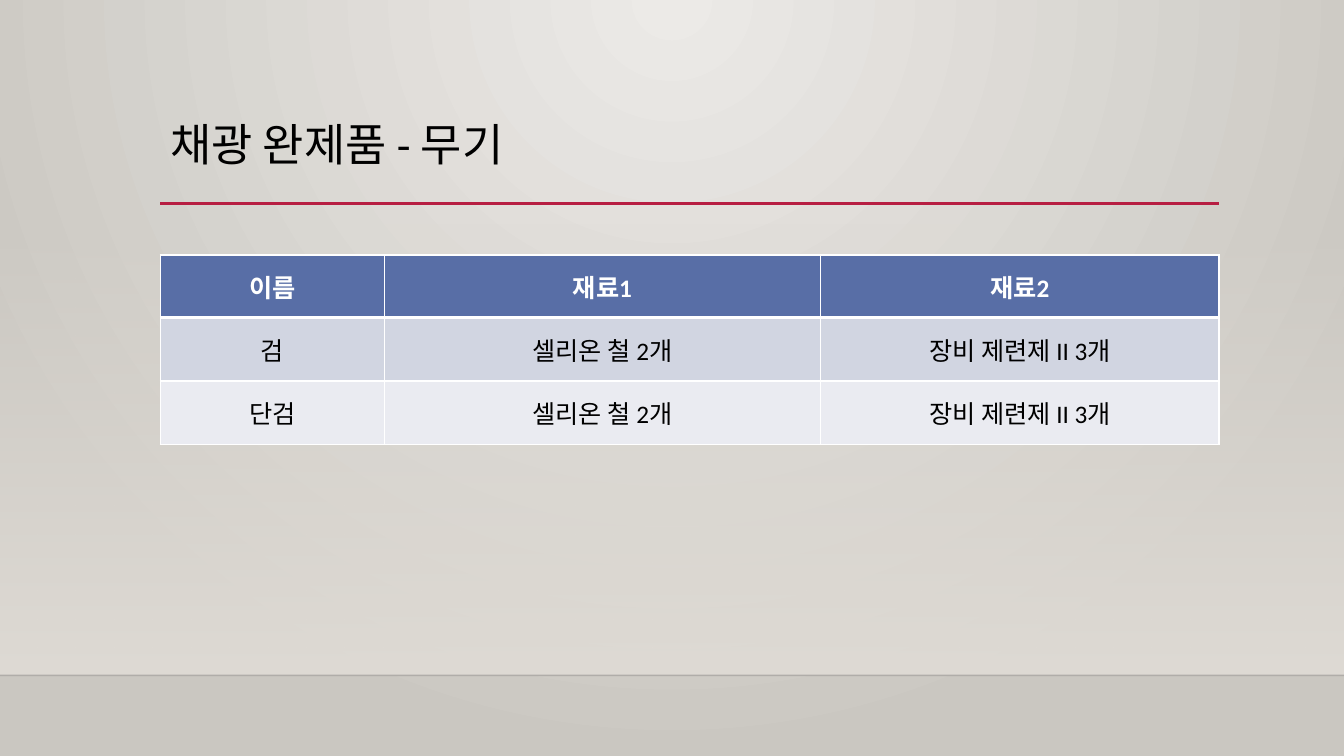
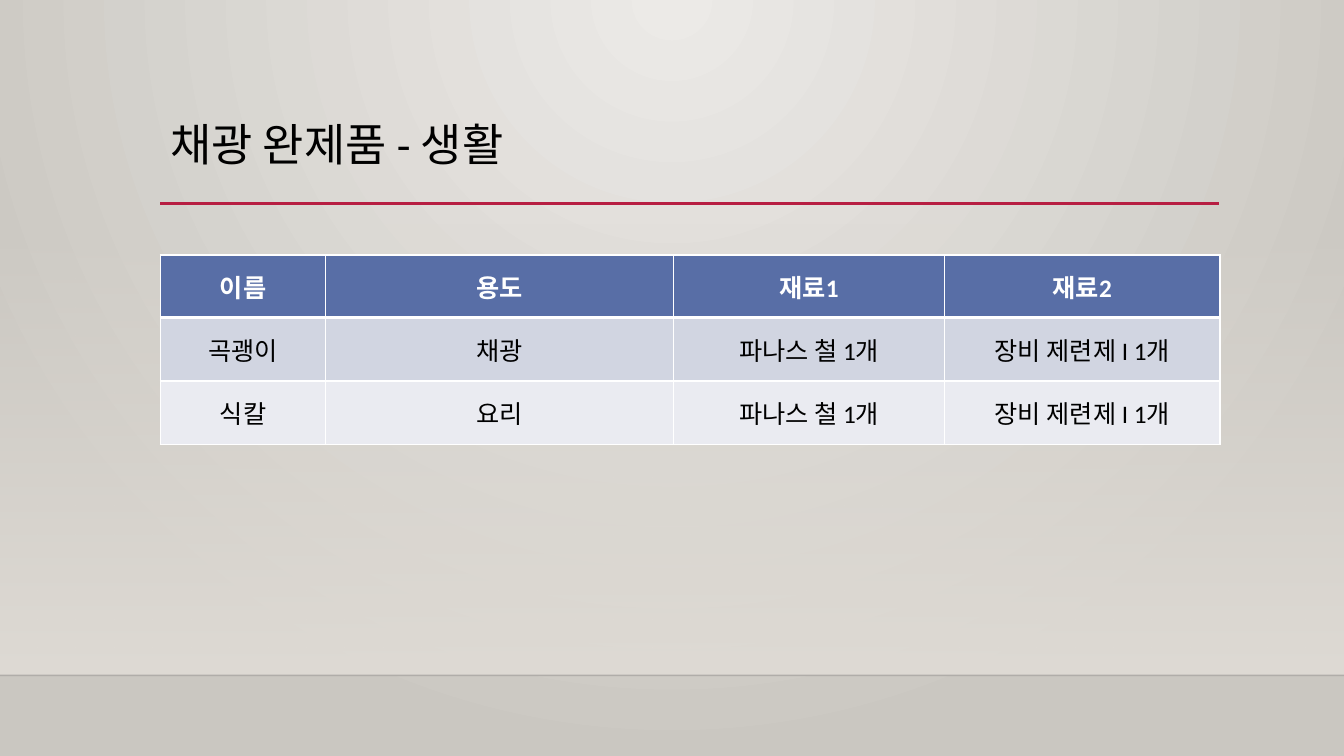
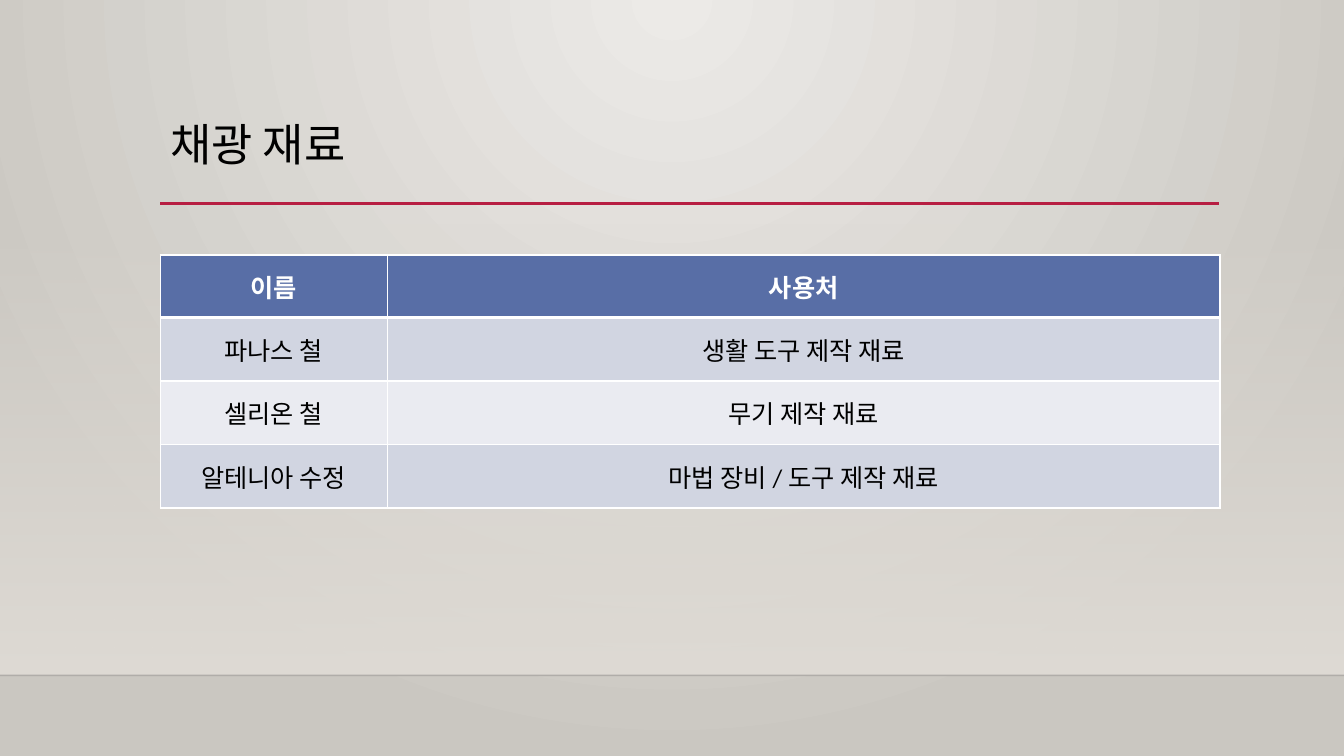
from lxml.etree import SubElement
from pptx import Presentation
from pptx.dml.color import RGBColor
from pptx.enum.shapes import MSO_CONNECTOR, MSO_SHAPE
from pptx.enum.text import MSO_ANCHOR, PP_ALIGN
from pptx.oxml import parse_xml
from pptx.oxml.ns import nsdecls, qn
from pptx.util import Inches, Pt

COLORS = {
    "glow": "ECEAE7", "edge": "CAC7C1", "wall": "DFDBD5", "floor": "000001",
    "accent": "B71E42", "text": "000000", "white": "FFFFFF",
    "header": "586EA6", "band_dark": "D1D5E1", "band_light": "EAEBF1",
}
FONT = "Calibri"
PAGE_WIDTH, PAGE_HEIGHT = 13.33, 7.5
LEFT, WIDTH = 1.59, 10.5
TITLE_BOX = (LEFT, 0.88, WIDTH, 1.15)
WALL_BOX = (0, 2.21, PAGE_WIDTH, 4.49)
TABLE_TOP = 2.53
HEADER_HEIGHT, ROW_HEIGHT = 0.62, 0.63

PAGES = [
    ("채광 완제품 - 무기", [2.22, 4.33, 3.95], [
        ["이름", "재료1", "재료2"],
        ["검", "셀리온 철 2개", "장비 제련제 II 3개"],
        ["단검", "셀리온 철 2개", "장비 제련제 II 3개"],
    ]),
    ("채광 완제품 - 생활", [1.64, 3.45, 2.69, 2.73], [
        ["이름", "용도", "재료1", "재료2"],
        ["곡괭이", "채광", "파나스 철 1개", "장비 제련제 I 1개"],
        ["식칼", "요리", "파나스 철 1개", "장비 제련제 I 1개"],
    ]),
    ("채광 재료", [2.25, 8.26], [
        ["이름", "사용처"],
        ["파나스 철", "생활 도구 제작 재료"],
        ["셀리온 철", "무기 제작 재료"],
        ["알테니아 수정", "마법 장비 / 도구 제작 재료"],
    ]),
]


def rgb(name):
    return RGBColor.from_string(COLORS[name])


def set_opacity(shape, percent):
    """Apply opacity to the first colour of a shape."""
    color = shape.element.find(".//" + qn("a:srgbClr"))
    SubElement(color, qn("a:alpha"), val=str(percent * 1000))


def fill_gradient(fill, *names):
    fill.gradient()
    for stop, name in zip(fill.gradient_stops, names):
        stop.color.rgb = rgb(name)


def style_text(para, size, color, bold=False):
    for span in para.runs:
        span.font.name = FONT
        span.font.size = Pt(size)
        span.font.bold = bold
        span.font.color.rgb = rgb(color)


def set_background(master):
    """Light falling from the top centre, shared by every page."""
    fill_gradient(master.background.fill, "glow", "edge")
    gradient = master.element.find(".//" + qn("a:gradFill"))
    gradient.replace(gradient.find(qn("a:lin")), parse_xml(
        f'<a:path {nsdecls("a")} path="circle">'
        '<a:fillToRect l="43000" t="0" r="43000" b="100000"/></a:path>'))


def add_rule(page, left, top, width, color, weight):
    rule = page.shapes.add_connector(
        MSO_CONNECTOR.STRAIGHT, Inches(left), Inches(top),
        Inches(left + width), Inches(top))
    rule.line.color.rgb = rgb(color)
    rule.line.width = Pt(weight)
    SubElement(rule.element.spPr, qn("a:effectLst"))
    return rule


def add_wall(page, left, top, width, height):
    """Fading wall with the floor line at its foot."""
    wall = page.shapes.add_shape(
        MSO_SHAPE.RECTANGLE, *map(Inches, (left, top, width, height)))
    wall.shadow.inherit = False
    wall.line.fill.background()
    fill_gradient(wall.fill, "wall", "wall")
    wall.fill.gradient_angle = 270
    set_opacity(wall, 0)
    floor = add_rule(page, left, top + height, width, "floor", 1)
    set_opacity(floor, 20)


def add_title(page, text, left, top, width, height):
    """Title with the accent rule under it."""
    title = page.shapes.title
    title.left, title.top, title.width, title.height = map(
        Inches, (left, top, width, height))
    title.text_frame.text = text
    title.text_frame.vertical_anchor = MSO_ANCHOR.MIDDLE
    para = title.text_frame.paragraphs[0]
    para.alignment = PP_ALIGN.LEFT
    para.line_spacing = 0.9
    style_text(para, 32, "text")
    add_rule(page, left, top + height - 0.01, width, "accent", 2.5)


def set_borders(cell, top, bottom):
    """White cell borders; they precede the fill in the cell properties."""
    properties = cell._tc.get_or_add_tcPr()
    weights = {"lnL": 1, "lnR": 1, "lnT": top, "lnB": bottom}
    for index, (side, weight) in enumerate(weights.items()):
        properties.insert(index, parse_xml(
            f'<a:{side} {nsdecls("a")} w="{Pt(weight)}"><a:solidFill>'
            f'<a:srgbClr val="{COLORS["white"]}"/></a:solidFill></a:{side}>'))


def add_item_table(page, rows, widths, left, top):
    height = HEADER_HEIGHT + ROW_HEIGHT * (len(rows) - 1)
    table = page.shapes.add_table(
        len(rows), len(widths),
        *map(Inches, (left, top, sum(widths), height))).table
    for column, width in zip(table.columns, widths):
        column.width = Inches(width)
    for r, texts in enumerate(rows):
        is_header = r == 0
        band = "header" if is_header else "band_dark" if r % 2 else "band_light"
        table.rows[r].height = Inches(HEADER_HEIGHT if is_header else ROW_HEIGHT)
        for c, text in enumerate(texts):
            cell = table.cell(r, c)
            cell.text_frame.text = text
            cell.vertical_anchor = MSO_ANCHOR.MIDDLE
            cell.fill.solid()
            cell.fill.fore_color.rgb = rgb(band)
            set_borders(cell, top=3 if r == 1 else 1, bottom=3 if is_header else 1)
            para = cell.text_frame.paragraphs[0]
            para.alignment = PP_ALIGN.CENTER
            style_text(para, 18, "white" if is_header else "text", is_header)


def main():
    deck = Presentation()
    deck.slide_width, deck.slide_height = Inches(PAGE_WIDTH), Inches(PAGE_HEIGHT)
    set_background(deck.slide_master)
    title_only = deck.slide_layouts[5]
    for title, widths, rows in PAGES:
        page = deck.slides.add_slide(title_only)
        add_wall(page, *WALL_BOX)
        add_title(page, title, *TITLE_BOX)
        add_item_table(page, rows, widths, LEFT, TABLE_TOP)
    deck.save("out.pptx")


if __name__ == "__main__":
    main()
